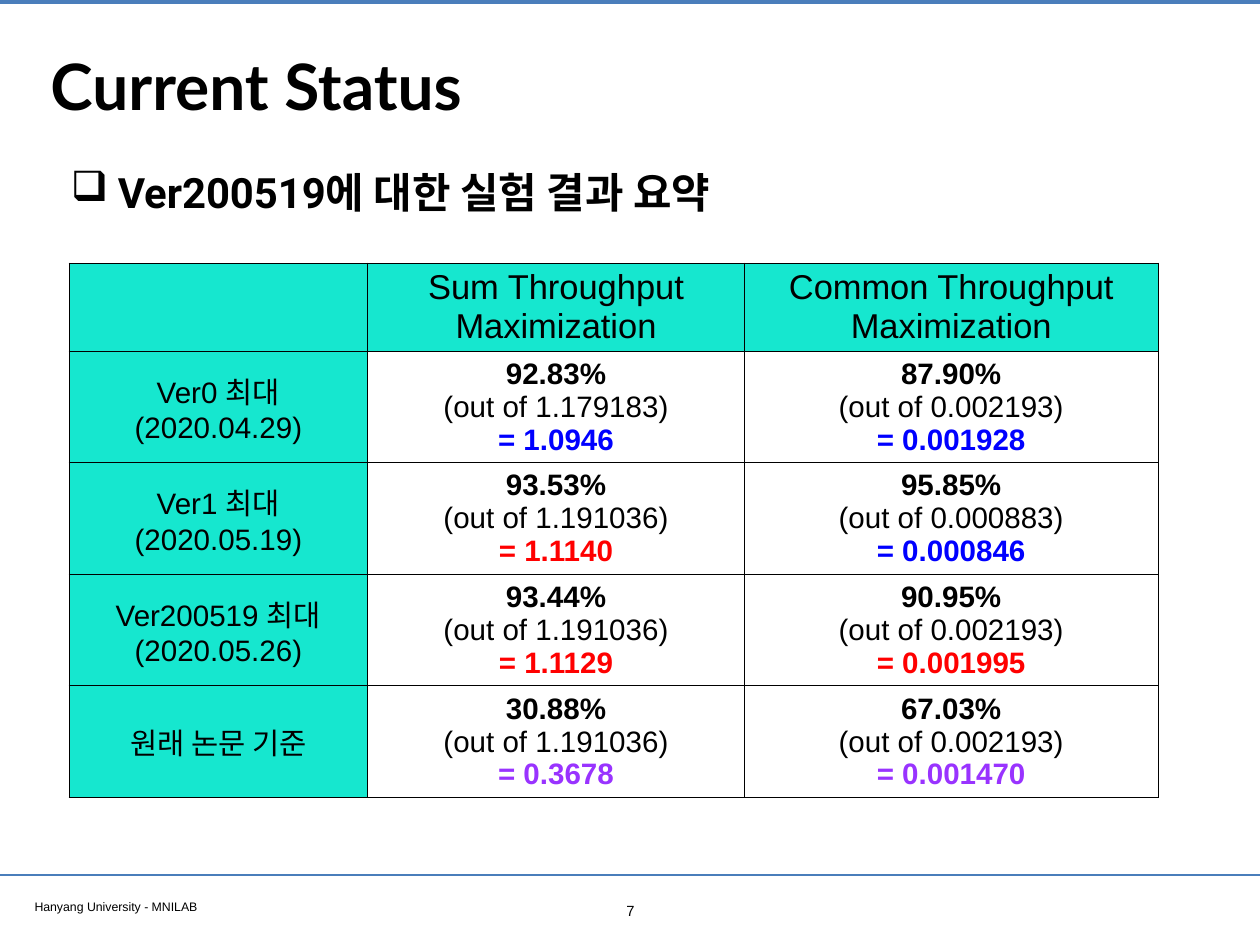
from pptx import Presentation
from pptx import util as u
from pptx.dml.color import RGBColor
from pptx.enum import shapes, text
from pptx.oxml import parse_xml
from pptx.oxml.ns import nsdecls

WIDE, HIGH = 14.22, 10.67
BLACK, WHITE, TEAL, RULE = "000000", "FFFFFF", "16E7CF", "4A7EBB"
BLUE, RED, PURPLE = "0000FF", "FF0000", "9933FF"
MID, LEFT = text.PP_ALIGN.CENTER, text.PP_ALIGN.LEFT

TITLE = "Current Status"
POINT = "Ver200519에 대한 실험 결과 요약"
LAB = "Hanyang University - MNILAB"
PAGE = "7"
HEADS = ["", "Sum Throughput Maximization", "Common Throughput Maximization"]
TESTS = [
    (["Ver0 최대", "(2020.04.29)"],
     ("92.83%", "1.179183", "1.0946", BLUE), ("87.90%", "0.002193", "0.001928", BLUE)),
    (["Ver1 최대", "(2020.05.19)"],
     ("93.53%", "1.191036", "1.1140", RED), ("95.85%", "0.000883", "0.000846", BLUE)),
    (["Ver200519 최대", "(2020.05.26)"],
     ("93.44%", "1.191036", "1.1129", RED), ("90.95%", "0.002193", "0.001995", RED)),
    (["원래 논문 기준"],
     ("30.88%", "1.191036", "0.3678", PURPLE), ("67.03%", "0.002193", "0.001470", PURPLE)),
]
COLS = [3.37, 4.25, 4.67]
ROWS = [0.95] + [1.22] * len(TESTS)


def color(code):
    return RGBColor.from_string(code)


def write(para, words, size, face="Arial", bold=False, ink=BLACK, align=LEFT):
    para.alignment = align
    run = para.add_run()
    run.text = words
    font = run.font
    font.size, font.name, font.bold = u.Pt(size), face, bold
    font.color.rgb = color(ink)


def add_box(left, top, width, height, anchor=text.MSO_ANCHOR.TOP):
    box = slide.shapes.add_textbox(*map(u.Inches, (left, top, width, height)))
    frame = box.text_frame
    frame.word_wrap = True
    frame.vertical_anchor = anchor
    frame.margin_left = frame.margin_right = u.Inches(0.06)
    frame.margin_top = frame.margin_bottom = u.Inches(0.06)
    return frame.paragraphs[0]


def add_rule(top, weight):
    line = slide.shapes.add_connector(
        shapes.MSO_CONNECTOR.STRAIGHT, 0, u.Inches(top), u.Inches(WIDE), u.Inches(top))
    line.line.color.rgb = color(RULE)
    line.line.width = u.Pt(weight)
    line._element.spPr.append(parse_xml(f"<a:effectLst {nsdecls('a')}/>"))


def fill_cell(cell, lines, size, back):
    cell.vertical_anchor = text.MSO_ANCHOR.MIDDLE
    cell.margin_top = cell.margin_bottom = u.Inches(0.03)
    frame = cell.text_frame
    for i, (words, bold, ink) in enumerate(lines):
        para = frame.add_paragraph() if i else frame.paragraphs[0]
        write(para, words, size, bold=bold, ink=ink, align=MID)
    props = cell._tc.get_or_add_tcPr()
    for side in ("lnL", "lnR", "lnT", "lnB"):
        props.append(parse_xml(
            f'<a:{side} {nsdecls("a")} w="12700"><a:solidFill>'
            f'<a:srgbClr val="{BLACK}"/></a:solidFill></a:{side}>'))
    cell.fill.solid()
    cell.fill.fore_color.rgb = color(back)


deck = Presentation()
deck.slide_width, deck.slide_height = u.Inches(WIDE), u.Inches(HIGH)
slide = deck.slides.add_slide(deck.slide_layouts[6])

add_rule(0.02, 3.2)
add_rule(9.88, 2)
write(add_box(0.33, 10.09, 5.46, 0.26), LAB, 10)
write(add_box(0.51, 0.28, 13.21, 1.35, text.MSO_ANCHOR.MIDDLE), TITLE, 52, "Lato", True)

point = add_box(0.74, 1.71, 12.51, 1.25)
point.line_spacing = 1.2
props = point._p.get_or_add_pPr()
props.set("marL", str(u.Inches(0.53)))
props.set("indent", str(-u.Inches(0.53)))
props.append(parse_xml(f'<a:buChar {nsdecls("a")} char="❑"/>'))
write(point, POINT, 34, "Roboto", True)

write(add_box(6.92, 10.12, 0.39, 0.31), PAGE, 12, align=MID)

grid = slide.shapes.add_table(
    len(ROWS), len(COLS),
    *map(u.Inches, (0.78, 2.97, sum(COLS), sum(ROWS)))).table
for col, width in zip(grid.columns, COLS):
    col.width = u.Inches(width)
for row, height in zip(grid.rows, ROWS):
    row.height = u.Inches(height)
for c, head in enumerate(HEADS):
    fill_cell(grid.cell(0, c), [(head, False, BLACK)] if head else [], 28, TEAL)
for r, (label, *scores) in enumerate(TESTS, 1):
    fill_cell(grid.cell(r, 0), [(words, False, BLACK) for words in label], 24, TEAL)
    for c, (rate, bound, value, ink) in enumerate(scores, 1):
        lines = [(rate, True, BLACK), (f"(out of {bound})", False, BLACK),
                 (f"= {value}", True, ink)]
        fill_cell(grid.cell(r, c), lines, 24, WHITE)

deck.save("out.pptx")
